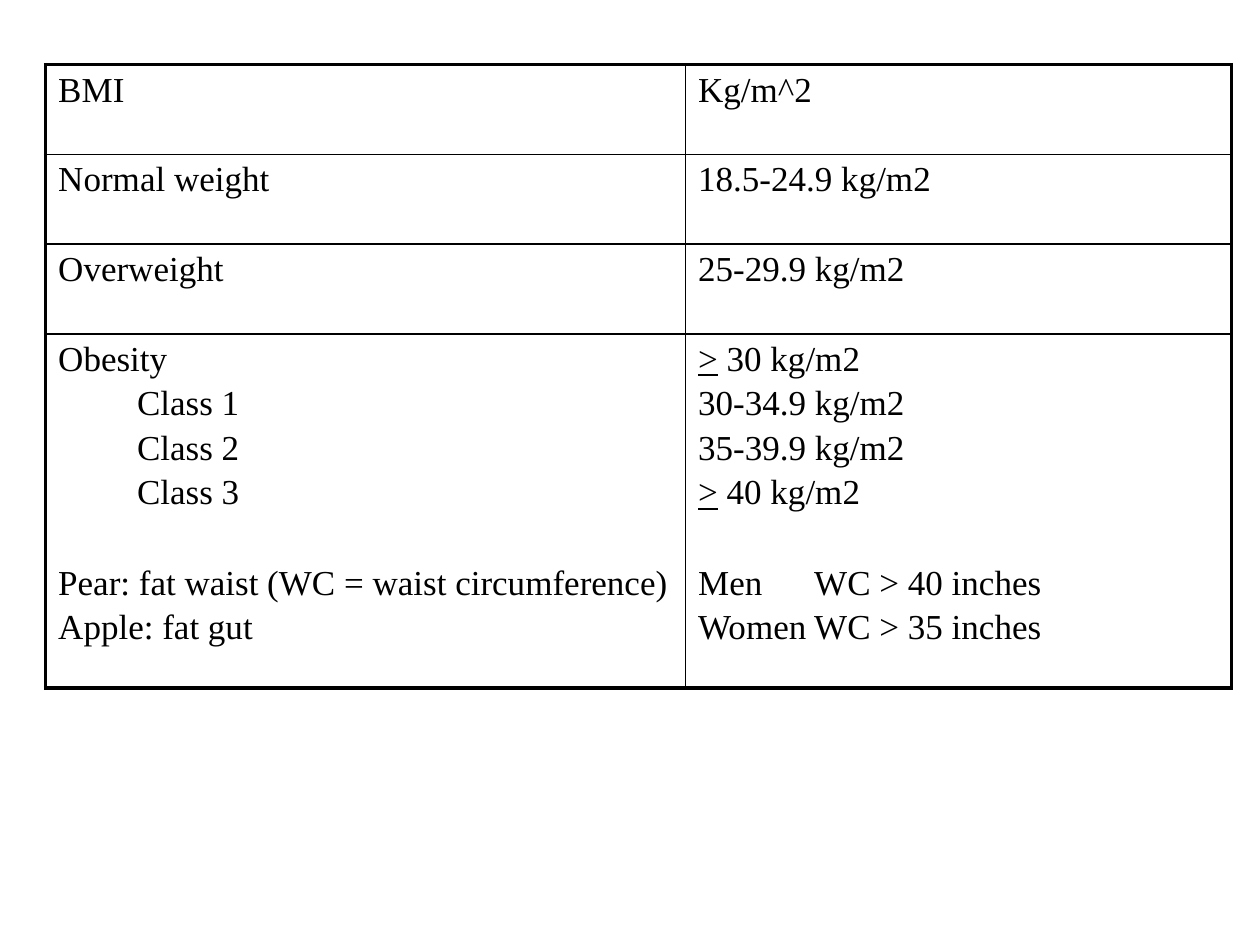
"""Build a slide with a table of BMI classes and waist limits."""
from lxml import etree
from pptx import Presentation
from pptx import util as u
from pptx.dml.color import RGBColor
from pptx.oxml import ns

COLORS = {"ink": "000000", "paper": "FFFFFF"}
LINE_GAP, BLOCK_GAP = 3.2, 29.4
INDENT, TAB = u.Cm(1.59), u.Cm(2.34)


def write(p, text, before=0, indent=0, tab=0, underline=0):
    """Fill a paragraph, underlining its first characters if asked."""
    if before:
        p.space_before = u.Pt(before)
    pPr = p._p.get_or_add_pPr()
    if indent:
        pPr.set("marL", str(indent))
    if tab:
        tabs = etree.SubElement(pPr, ns.qn("a:tabLst"))
        etree.SubElement(tabs, ns.qn("a:tab"), pos=str(tab), algn="l")
    for part, lined in ((text[:underline], True), (text[underline:], False)):
        if part:
            r = p.add_run()
            r.text = part
            r.font.name = "Times New Roman"
            r.font.size = u.Pt(20)
            r.font.underline = lined
            r.font.color.rgb = RGBColor.from_string(COLORS["ink"])


def border(cell, side, width):
    """Draw one solid edge of a cell."""
    ln = etree.SubElement(cell._tc.get_or_add_tcPr(), ns.qn(f"a:ln{side}"), w=str(u.Pt(width)))
    fill = etree.SubElement(ln, ns.qn("a:solidFill"))
    etree.SubElement(fill, ns.qn("a:srgbClr"), val=COLORS["ink"])


rows = [
    ([("BMI", {})], [("Kg/m^2", {})]),
    ([("Normal weight", {})], [("18.5-24.9 kg/m2", {})]),
    ([("Overweight", {})], [("25-29.9 kg/m2", {})]),
    (
        [
            ("Obesity", {}),
            *[(f"Class {n}", {"indent": INDENT}) for n in (1, 2, 3)],
            ("Pear: fat waist (WC = waist circumference)", {"before": BLOCK_GAP}),
            ("Apple: fat gut", {}),
        ],
        [
            ("> 30 kg/m2", {"underline": 1}),
            ("30-34.9 kg/m2", {}),
            ("35-39.9 kg/m2", {}),
            ("> 40 kg/m2", {"underline": 1}),
            ("Men\tWC > 40 inches", {"before": BLOCK_GAP, "tab": TAB}),
            ("Women\tWC > 35 inches", {"tab": TAB}),
        ],
    ),
]
widths = [12.9, 11]
heights = [1.81, 1.81, 1.81, 7.14]

prs = Presentation()
prs.slide_width, prs.slide_height = u.Cm(25.4), u.Cm(19.05)
s = prs.slides.add_slide(prs.slide_layouts[6])
s.background.fill.solid()
s.background.fill.fore_color.rgb = RGBColor.from_string(COLORS["paper"])

table = s.shapes.add_table(
    len(rows), len(widths), u.Cm(0.92), u.Cm(1.3), u.Cm(sum(widths)), u.Cm(sum(heights))
).table
table.first_row = table.horz_banding = False
for column, width in zip(table.columns, widths):
    column.width = u.Cm(width)
for row, height in zip(table.rows, heights):
    row.height = u.Cm(height)

for i, row in enumerate(rows):
    for j, lines in enumerate(row):
        cell = table.cell(i, j)
        outer = {"L": j == 0, "R": j == len(widths) - 1, "T": i == 0, "B": i == len(rows) - 1}
        for side, is_outer in outer.items():
            border(cell, side, 2.25 if is_outer else 1)
        cell.fill.background()
        tf = cell.text_frame
        for k, (line, style) in enumerate(lines):
            p = tf.add_paragraph() if k else tf.paragraphs[0]
            write(p, line, **{"before": LINE_GAP if k else 0, **style})

prs.save("out.pptx")
